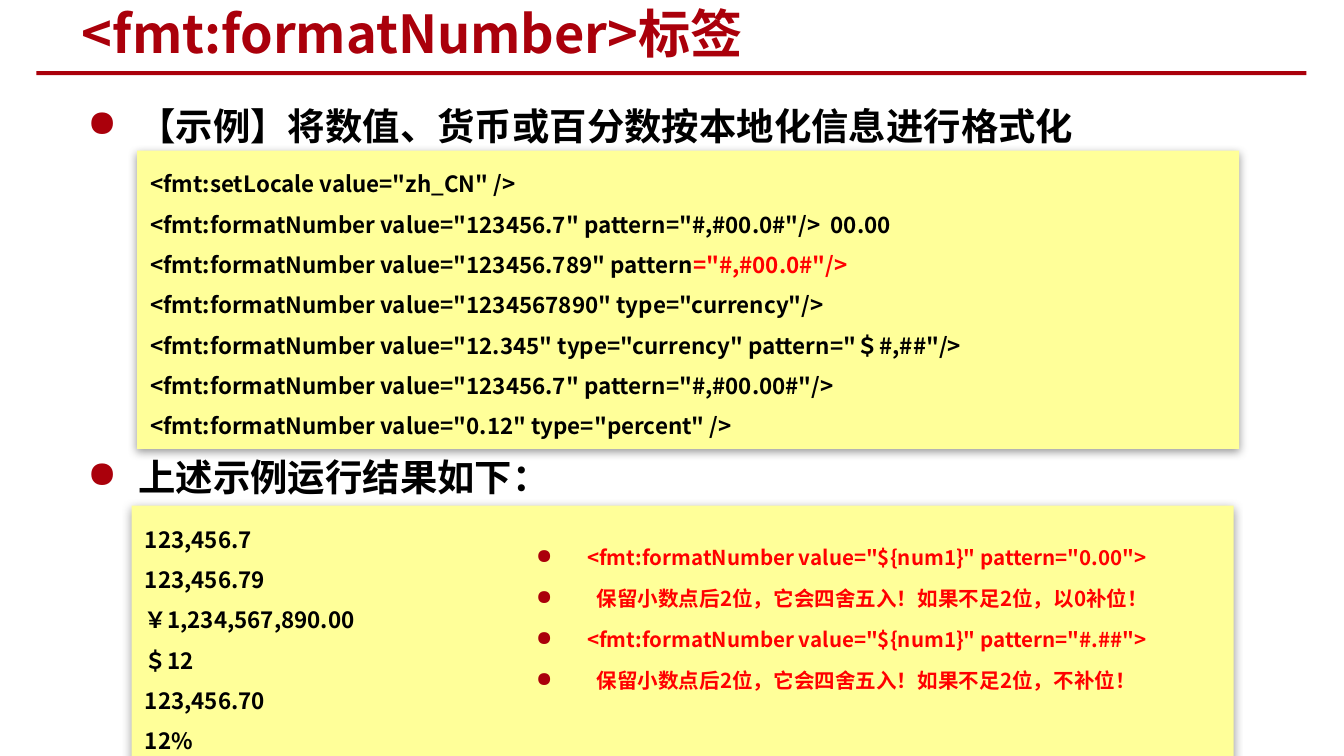
from lxml.etree import SubElement as Sub
from pptx import Presentation
from pptx.dml.color import RGBColor
from pptx.enum.shapes import MSO_SHAPE as Shape
from pptx.enum.text import MSO_ANCHOR as Anchor, MSO_AUTO_SIZE as Auto, PP_ALIGN as Align
from pptx.oxml.ns import qn
from pptx.util import Inches, Pt

WIDE = Inches(10)
HIGH = WIDE * 9 // 16
FONT, SYMBOL = "Noto Sans CJK SC", "OpenSymbol"
DARK, RED, BLACK, YELLOW = "AA000B", "FF0000", "000000", "FFFF99"

CODE = [
    [('<fmt:setLocale value="zh_CN" />', BLACK)],
    [('<fmt:formatNumber value="123456.7" pattern="#,#00.0#"/>  00.00', BLACK)],
    [('<fmt:formatNumber value="123456.789" pattern', BLACK), ('="#,#00.0#"/>', RED)],
    [('<fmt:formatNumber value="1234567890" type="currency"/>', BLACK)],
    [('<fmt:formatNumber value="12.345" type="currency" pattern="＄#,##"/>', BLACK)],
    [('<fmt:formatNumber value="123456.7" pattern="#,#00.00#"/>', BLACK)],
    [('<fmt:formatNumber value="0.12" type="percent" />', BLACK)],
]
OUTPUT = ["123,456.7", "123,456.79", "￥1,234,567,890.00", "＄12", "123,456.70", "12%"]
NOTES = [
    ('<fmt:formatNumber value="${num1}" pattern="0.00">', 0.38),
    ("保留小数点后2位，它会四舍五入！如果不足2位，以0补位！", 0.45),
    ('<fmt:formatNumber value="${num1}" pattern="#.##">', 0.38),
    ("保留小数点后2位，它会四舍五入！如果不足2位，不补位！", 0.45),
]


def color(code):
    return RGBColor.from_string(code)


def area(x, y, w, h):
    """Turn percentages of the slide into lengths."""
    return [round(part * full / 100)
            for part, full in zip((x, y, w, h), (WIDE, HIGH, WIDE, HIGH))]


def place(shape, *share):
    shape.left, shape.top, shape.width, shape.height = area(*share)
    shape.text_frame.auto_size = Auto.NONE
    return shape.text_frame


def add_run(para, text, size, ink):
    run = para.add_run()
    run.text = text
    font = run.font
    font.name, font.size, font.bold = FONT, Pt(size), True
    font.color.rgb = color(ink)
    Sub(run._r.get_or_add_rPr(), qn("a:ea"), typeface=FONT)


def add_para(frame, runs, size, before=0, indent=None):
    """Fill the first paragraph if it is free, else start a new one."""
    first = frame.paragraphs[0]
    para = frame.add_paragraph() if first.runs else first
    para.alignment, para.line_spacing = Align.LEFT, 1.5
    para.space_before = Pt(0 if para is first else before)
    if indent:
        add_bullet(para, indent)
    for text, ink in runs:
        add_run(para, text, size, ink)


def add_bullet(para, indent):
    props = para._p.get_or_add_pPr()
    props.set("marL", str(Inches(indent)))
    props.set("indent", str(-Inches(indent)))
    Sub(Sub(props, qn("a:buClr")), qn("a:srgbClr"), val=DARK)
    Sub(props, qn("a:buFont"), typeface=SYMBOL)
    Sub(props, qn("a:buChar"), char="●")


def add_rect(slide, fill, *share):
    rect = slide.shapes.add_shape(Shape.RECTANGLE, *area(*share))
    rect.shadow.inherit = False
    rect.fill.solid()
    rect.fill.fore_color.rgb = color(fill)
    rect.line.fill.background()
    return rect


def add_panel(slide, lines, *share):
    """Draw a shaded box with lines of code."""
    panel = add_rect(slide, YELLOW, *share)
    glow = Sub(panel._element.spPr.find(qn("a:effectLst")), qn("a:outerShdw"),
               blurRad=str(Pt(5)), dist=str(Pt(1.6)), dir="5400000", rotWithShape="0")
    Sub(Sub(glow, qn("a:srgbClr"), val=BLACK), qn("a:alpha"), val="38000")
    frame = panel.text_frame
    frame.word_wrap, frame.vertical_anchor = True, Anchor.TOP
    for runs in lines:
        add_para(frame, runs, 12)


def add_notes(slide, *share):
    frame = slide.shapes.add_textbox(*area(*share)).text_frame
    frame.word_wrap = True
    for text, indent in NOTES:
        add_para(frame, [(text, RED)], 11, 2.2, indent)


def main():
    deck = Presentation()
    deck.slide_width, deck.slide_height = WIDE, HIGH
    slide = deck.slides.add_slide(deck.slide_layouts[1])

    title = place(slide.shapes.title, 5.1, 0.36, 67.5, 8)
    title.vertical_anchor = Anchor.MIDDLE
    title.paragraphs[0].alignment = Align.LEFT
    add_run(title.paragraphs[0], "<fmt:formatNumber>标签", 28, DARK)
    add_rect(slide, DARK, 2.7, 9.42, 94.5, 0.53)

    body = place(slide.placeholders[1], 5.5, 9.78, 89.8, 80.53)
    for text in ("【示例】将数值、货币或百分数按本地化信息进行格式化", "上述示例运行结果如下："):
        add_para(body, [(text, BLACK)], 20, 152, 0.38)

    add_panel(slide, CODE, 10.2, 19.91, 82, 39.47)
    add_panel(slide, [[(text, BLACK)] for text in OUTPUT], 9.8, 66.9, 82, 34.13)
    add_notes(slide, 38.9, 69.56, 59.5, 28.8)
    deck.save("out.pptx")


if __name__ == "__main__":
    main()
